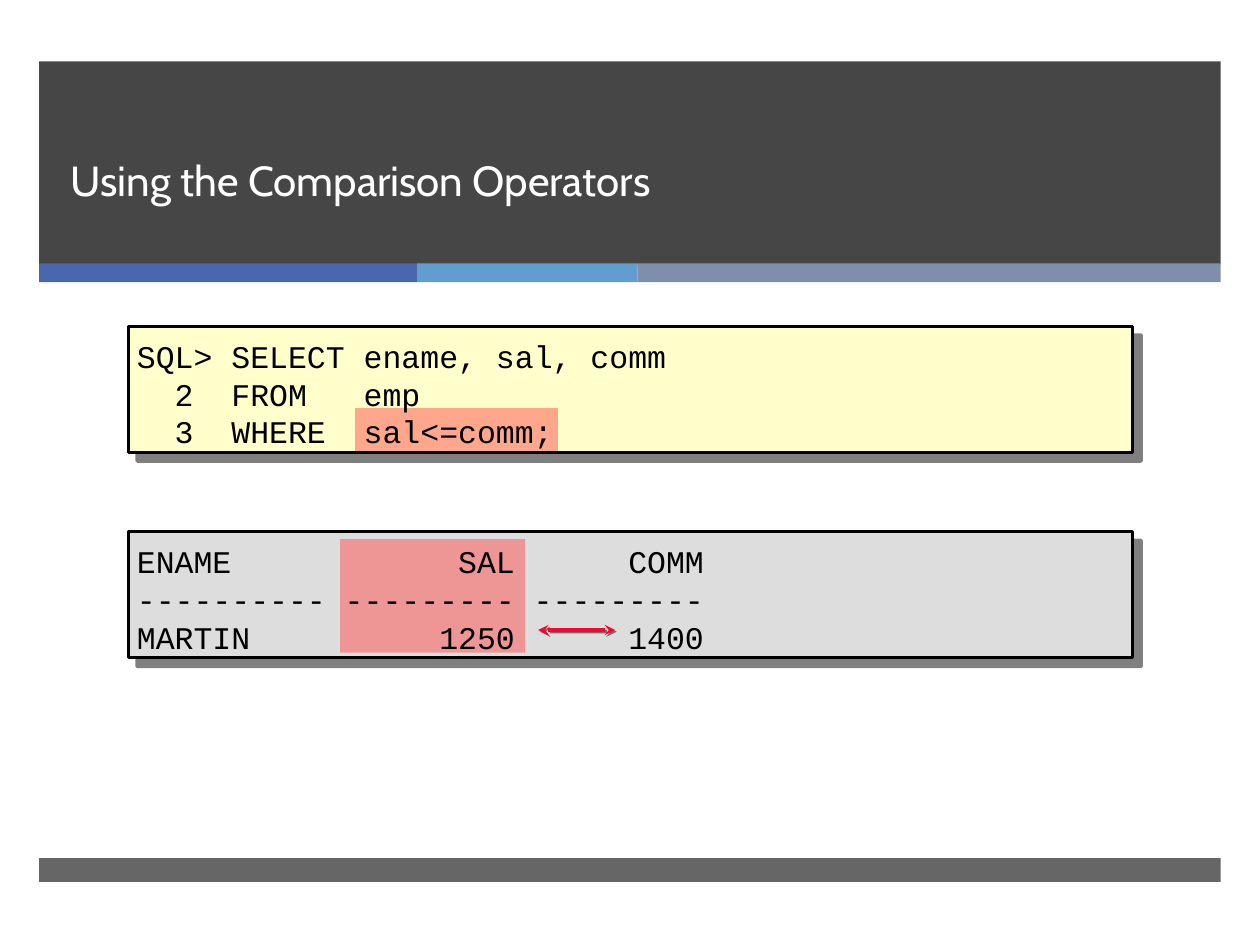
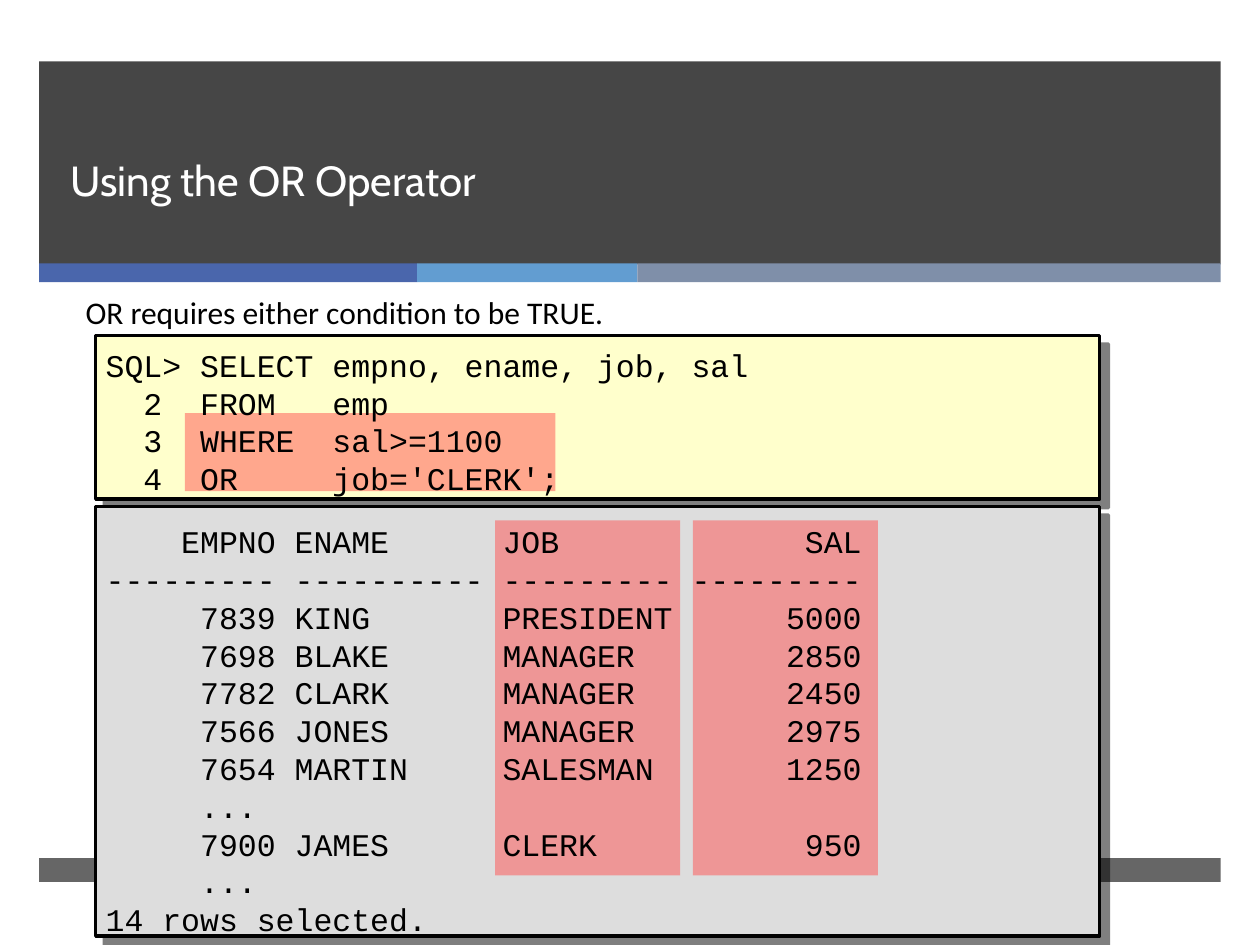
from dataclasses import dataclass

from lxml.etree import SubElement
from pptx import Presentation
from pptx.dml.color import RGBColor
from pptx.enum.shapes import MSO_CONNECTOR, MSO_SHAPE
from pptx.enum.text import MSO_ANCHOR, MSO_AUTO_SIZE, PP_ALIGN
from pptx.oxml.ns import qn
from pptx.util import Cm, Pt


@dataclass(frozen=True)
class Theme:
    dark: str = "262626"
    strips: tuple = ("4A66AC", "629DD1", "7F8FA9")
    white: str = "FFFFFF"
    black: str = "000000"
    query: str = "FFFFCC"
    result: str = "DDDDDD"
    highlight: str = "FF5050"
    arrow: str = "FF0033"
    title_font: str = "Cabin"
    body_font: str = "Calibri"
    code_font: str = "Courier New"
    title_size: float = 24
    text_size: float = 18
    code_pitch: float = 21.6
    line_width: float = 2


THEME = Theme()
CHAR_WIDTH = 0.6 * THEME.text_size  # points per monospaced character


@dataclass(frozen=True)
class Area:
    """A rectangle in centimetres."""
    left: float
    top: float
    width: float
    height: float

    def lengths(self) -> tuple:
        return Cm(self.left), Cm(self.top), Cm(self.width), Cm(self.height)


@dataclass(frozen=True)
class Row:
    """A console line; each stop is a character column and 'l' or 'r'."""
    text: str
    stops: tuple


@dataclass(frozen=True)
class Panel:
    area: Area
    text_area: Area
    fill: str
    rows: tuple
    highlights: tuple


def rows(stops: tuple, *texts: str) -> tuple:
    return tuple(Row(text, stops) for text in texts)


def rule(*widths: int) -> str:
    return "\t".join("-" * width for width in widths)


def write(para, text: str, *, font: str, color: str, size: float = THEME.text_size,
          spacing=None, align=PP_ALIGN.LEFT) -> None:
    span = para.add_run()
    span.text = text
    span.font.name = font
    span.font.size = Pt(size)
    span.font.color.rgb = RGBColor.from_string(color)
    para.alignment = align
    para.space_before = Pt(0)
    if spacing is not None:
        para.line_spacing = spacing


def add_shadow(effects, distance: float) -> None:
    """Cast a half-transparent shadow to the lower right."""
    shadow = SubElement(effects, qn("a:outerShdw"), dist=str(Pt(distance)),
                        dir="2700000", algn="ctr", rotWithShape="0")
    color = SubElement(shadow, qn("a:srgbClr"), val=THEME.black)
    SubElement(color, qn("a:alpha"), val="50000")


def add_rectangle(page, area: Area, fill: str, *, opacity: int = 100,
                  outlined: bool = False, shadow: float = 0):
    box = page.shapes.add_shape(MSO_SHAPE.RECTANGLE, *area.lengths())
    box.shadow.inherit = False
    box.fill.solid()
    box.fill.fore_color.rgb = RGBColor.from_string(fill)
    properties = box.element.spPr
    if opacity < 100:
        color = properties.find(qn("a:solidFill")).find(qn("a:srgbClr"))
        SubElement(color, qn("a:alpha"), val=str(opacity * 1000))
    if outlined:
        box.line.color.rgb = RGBColor.from_string(THEME.black)
        box.line.width = Pt(THEME.line_width)
    else:
        box.line.fill.background()
    if shadow:
        add_shadow(properties.find(qn("a:effectLst")), shadow)
    return box


def add_double_arrow(page, left: float, right: float, level: float) -> None:
    arrow = page.shapes.add_connector(MSO_CONNECTOR.STRAIGHT, Cm(left), Cm(level),
                                      Cm(right), Cm(level))
    arrow.line.color.rgb = RGBColor.from_string(THEME.arrow)
    arrow.line.width = Pt(THEME.line_width)
    properties = arrow.element.spPr
    for end in ("a:headEnd", "a:tailEnd"):
        SubElement(properties.find(qn("a:ln")), qn(end), type="stealth")
    add_shadow(SubElement(properties, qn("a:effectLst")), 1.4)


def add_console_text(page, area: Area, lines: tuple) -> None:
    frame = page.shapes.add_textbox(*area.lengths()).text_frame
    frame.word_wrap = True
    frame.vertical_anchor = MSO_ANCHOR.MIDDLE
    frame.margin_top, frame.margin_bottom = Cm(0.28), Cm(0.13)
    for index, row in enumerate(lines):
        para = frame.add_paragraph() if index else frame.paragraphs[0]
        write(para, row.text, font=THEME.code_font, color=THEME.black,
              spacing=Pt(THEME.code_pitch))
        tabs = SubElement(para._p.get_or_add_pPr(), qn("a:tabLst"))
        for column, side in row.stops:
            SubElement(tabs, qn("a:tab"), pos=str(Pt(column * CHAR_WIDTH)), algn=side)


def add_panel(page, panel: Panel) -> None:
    add_rectangle(page, panel.area, panel.fill, outlined=True, shadow=7.1)
    for area in panel.highlights:
        add_rectangle(page, area, THEME.highlight, opacity=50)
    add_console_text(page, panel.text_area, panel.rows)


def place(holder, area: Area) -> None:
    holder.left, holder.top, holder.width, holder.height = area.lengths()


def add_page(deck, layout: int, title: str):
    page = deck.slides.add_slide(deck.slide_layouts[layout])
    holder = page.shapes.title
    place(holder, Area(1.17, 1.24, 21.69, 3.02))
    frame = holder.text_frame
    frame.auto_size = MSO_AUTO_SIZE.NONE
    frame.vertical_anchor = MSO_ANCHOR.BOTTOM
    write(frame.paragraphs[0], title, font=THEME.title_font, color=THEME.white,
          size=THEME.title_size, spacing=Pt(46))
    return page


def fill_body(page, text: str) -> None:
    holder = page.placeholders[1]
    place(holder, Area(1.17, 5.84, 21.46, 1.4))
    holder.text_frame.auto_size = MSO_AUTO_SIZE.NONE
    para = holder.text_frame.paragraphs[0]
    write(para, text, font=THEME.body_font, color=THEME.black, spacing=0.95)
    properties = para._p.get_or_add_pPr()
    properties.set("marL", str(Cm(0.94)))
    properties.set("indent", str(Cm(-0.64)))
    SubElement(properties, qn("a:buNone"))


def decorate_master(deck, page) -> None:
    """Draw the bands on a page, then move them behind the master's placeholders."""
    left, width = 0.79, 23.82
    bands = [add_rectangle(page, Area(left, 1.24, width, 4.09), THEME.dark, opacity=85),
             add_rectangle(page, Area(left, 17.3, width, 0.48), THEME.dark, opacity=70)]
    for color, strip_width in zip(THEME.strips, (7.62, 4.44, 11.76)):
        bands.append(add_rectangle(page, Area(left, 5.31, strip_width, 0.38), color))
        left += strip_width
    tree = deck.slide_master.shapes.element
    for position, band in enumerate(bands, start=2):
        tree.insert(position, band.element)


QUERY_STOPS = ((2, "l"), (5, "l"), (12, "l"))
PAY_STOPS = ((20, "r"), (30, "r"))
STAFF_STOPS = ((9, "r"), (10, "l"), (21, "l"), (40, "r"))
STAFF_RULE_STOPS = ((10, "l"), (21, "l"), (31, "l"))
ELLIPSIS = rows(((5, "l"),), "\t...")

COMPARISON_PANELS = (
    Panel(Area(2.59, 6.58, 20.24, 2.54), Area(2.51, 6.55, 20.32, 2.62), THEME.query,
          rows(QUERY_STOPS,
               "SQL>\tSELECT\tename, sal, comm",
               "\t2\tFROM\temp",
               "\t3\tWHERE\tsal<=comm;"),
          (Area(7.16, 8.23, 4.09, 0.86),)),
    Panel(Area(2.59, 10.72, 20.24, 2.54), Area(2.51, 10.69, 20.32, 2.62), THEME.result,
          rows(PAY_STOPS,
               "ENAME\tSAL\tCOMM",
               rule(10, 9, 9),
               "MARTIN\t1250\t1400"),
          (Area(6.86, 10.87, 3.73, 2.29),)),
)

OR_PANELS = (
    Panel(Area(1.93, 6.76, 20.24, 3.3), Area(1.88, 6.73, 20.32, 3.38), THEME.query,
          rows(QUERY_STOPS,
               "SQL>\tSELECT\tempno, ename, job, sal",
               "\t2\tFROM\temp",
               "\t3\tWHERE\tsal>=1100",
               "\t4\tOR\tjob='CLERK';"),
          (Area(3.73, 8.33, 7.47, 1.57),)),
    Panel(Area(1.93, 10.21, 20.24, 8.66), Area(1.88, 10.67, 20.32, 7.95), THEME.result,
          rows(STAFF_STOPS, "\tEMPNO\tENAME\tJOB\tSAL")
          + rows(STAFF_RULE_STOPS, rule(9, 10, 9, 9))
          + rows(STAFF_STOPS,
                 "\t7839\tKING\tPRESIDENT\t5000",
                 "\t7698\tBLAKE\tMANAGER\t2850",
                 "\t7782\tCLARK\tMANAGER\t2450",
                 "\t7566\tJONES\tMANAGER\t2975",
                 "\t7654\tMARTIN\tSALESMAN\t1250")
          + ELLIPSIS
          + rows(STAFF_STOPS, "\t7900\tJAMES\tCLERK\t950")
          + ELLIPSIS
          + rows((), "14 rows selected."),
          tuple(Area(left, 10.49, 3.73, 7.16) for left in (9.98, 13.97))),
)


def main() -> None:
    deck = Presentation()
    deck.slide_width, deck.slide_height = Cm(25.4), Cm(19.05)

    comparison = add_page(deck, 5, "Using the Comparison Operators")
    decorate_master(deck, comparison)
    for panel in COMPARISON_PANELS:
        add_panel(comparison, panel)
    add_double_arrow(comparison, 10.85, 12.4, 12.7)

    either = add_page(deck, 1, "Using the OR Operator")
    fill_body(either, "OR requires either condition to be TRUE.")
    for panel in OR_PANELS:
        add_panel(either, panel)

    deck.save("out.pptx")


if __name__ == "__main__":
    main()
